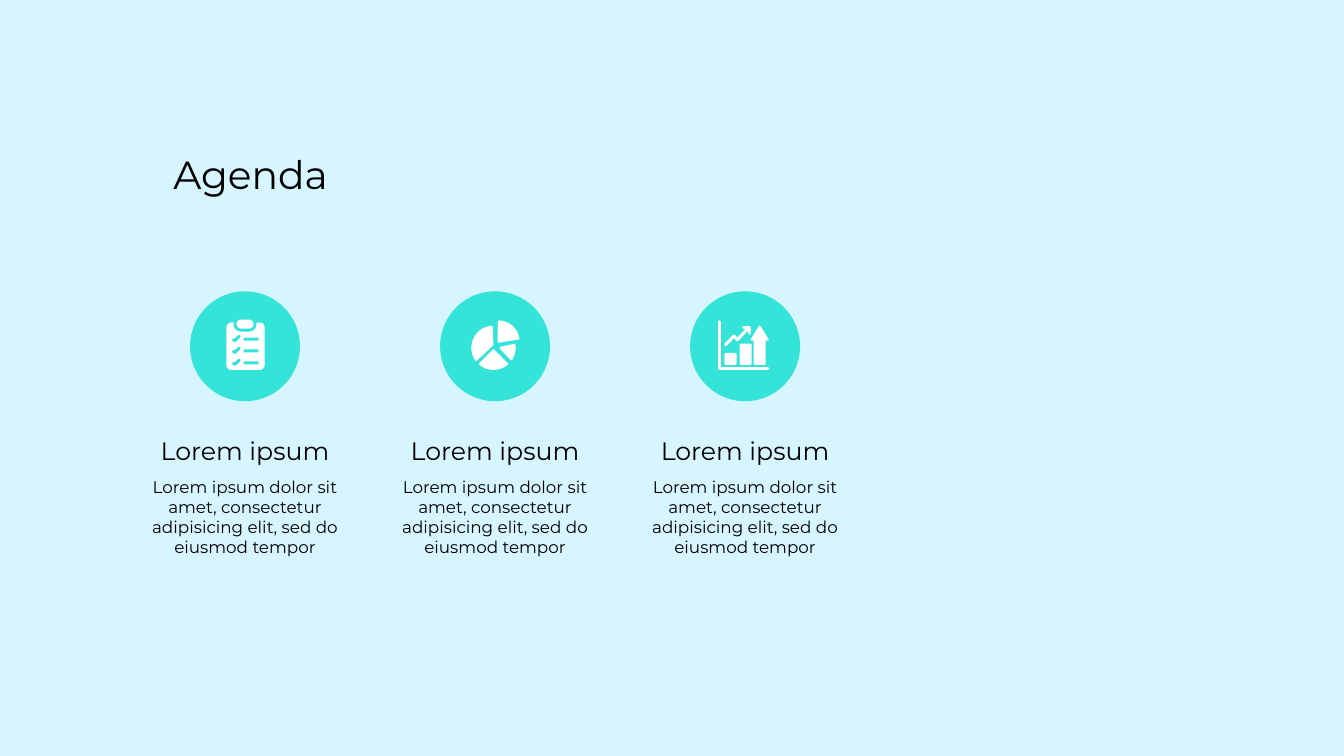
import collections
import math

import pptx
import pptx.dml.color
import pptx.enum.shapes
import pptx.enum.text
import pptx.oxml.ns
import pptx.util
import lxml.etree

Box = collections.namedtuple("Box", "left top width height")
Theme = collections.namedtuple(
    "Theme", "font background accent icon ink title heading body outline stroke"
)
THEME = Theme("Montserrat", "D6F5FF", "34E4D9", "FFFFFF", "000000", 28, 18, 12, 1.44, 2.16)
SHAPES = pptx.enum.shapes.MSO_SHAPE
ALIGN = pptx.enum.text.PP_ALIGN

SLIDE_WIDTH, SLIDE_HEIGHT = 13.33, 7.5
TITLE_BOX = Box(1.62, 1.44, 2.81, 0.57)
FIRST_ITEM = Box(1.34, 2.89, 2.18, 2.7)
ITEM_PITCH = 2.48
CIRCLE_SIZE = 1.09
ICON_CELLS = 109
HEADING_OFFSET, HEADING_HEIGHT = 1.38, 0.4
BODY_OFFSET, BODY_HEIGHT = 1.79, 0.91


def colour(value):
    return pptx.dml.color.RGBColor.from_string(value)


def emu(box):
    return [pptx.util.Inches(length) for length in box]


def cells(box, left, top, width, height):
    unit = box.width / ICON_CELLS
    return Box(box.left + left * unit, box.top + top * unit, width * unit, height * unit)


def add_text(slide, box, text, size, align=ALIGN.LEFT):
    frame = slide.shapes.add_textbox(*emu(box)).text_frame
    frame.word_wrap = True
    frame.auto_size = pptx.enum.text.MSO_AUTO_SIZE.SHAPE_TO_FIT_TEXT
    paragraph = frame.paragraphs[0]
    paragraph.alignment = align
    run = paragraph.add_run()
    run.text = text
    run.font.name = THEME.font
    run.font.size = pptx.util.Pt(size)
    run.font.color.rgb = colour(THEME.ink)


def add_filled(shapes, kind, box, fill, rounding=None):
    shape = shapes.add_shape(kind, *emu(box))
    shape.shadow.inherit = False
    shape.fill.solid()
    shape.fill.fore_color.rgb = colour(fill)
    shape.line.fill.background()
    if rounding is not None:
        shape.adjustments[0] = rounding


def add_outline(shapes, box, points, ink, width, closed=False):
    corners = [emu(cells(box, x, y, 0, 0)[:2]) for x, y in points]
    builder = shapes.build_freeform(*corners[0])
    builder.add_line_segments(corners[1:], close=closed)
    shape = builder.convert_to_shape()
    shape.shadow.inherit = False
    if closed:
        shape.fill.solid()
        shape.fill.fore_color.rgb = colour(ink)
    else:
        shape.fill.background()
    shape.line.color.rgb = colour(ink)
    shape.line.width = pptx.util.Pt(width)
    line = shape.element.spPr.find(pptx.oxml.ns.qn("a:ln"))
    line.set("cap", "rnd")
    lxml.etree.SubElement(line, pptx.oxml.ns.qn("a:round"))


def add_bar(shapes, box, place, fill, rounding):
    add_filled(shapes, SHAPES.ROUNDED_RECTANGLE, cells(box, *place), fill, rounding)


def draw_checklist(shapes, box):
    add_bar(shapes, box, (36, 31, 38, 47), THEME.icon, 0.12)
    add_bar(shapes, box, (43, 25, 23, 15), THEME.accent, 0.5)
    add_bar(shapes, box, (46, 28, 17, 9), THEME.icon, 0.5)
    for row in range(3):
        top = 46 + 11.75 * row
        add_bar(shapes, box, (53, top, 15, 3), THEME.accent, 0.5)
        tick = [(43, top + 2), (44.5, top + 3), (49, top - 1.5)]
        add_outline(shapes, box, tick, THEME.accent, THEME.stroke)


def draw_pie(shapes, box):
    slices = [
        ((58, 50), (58, 50), 20, -89, -9),
        ((52, 53), (53, 56), 21, 145, 265),
        ((53, 58.5), (53, 56), 21, 50, 130),
        ((60, 56), (53, 56), 21, -8, 33),
    ]
    steps = 16
    for apex, (x, y), radius, start, end in slices:
        angles = [math.radians(start + (end - start) * i / steps) for i in range(steps + 1)]
        arc = [(x + radius * math.cos(a), y + radius * math.sin(a)) for a in angles]
        add_outline(shapes, box, [apex] + arc, THEME.icon, THEME.outline, closed=True)


def draw_growth(shapes, box):
    add_bar(shapes, box, (34, 61, 12, 12), THEME.icon, 0.12)
    add_bar(shapes, box, (49, 52, 12, 21), THEME.icon, 0.12)
    arrow = [(64, 72), (64, 48), (61, 48), (69, 35), (77, 48), (74, 48), (74, 72)]
    add_outline(shapes, box, arrow, THEME.icon, THEME.outline, closed=True)
    axes = [(29.5, 30), (29.5, 76.5), (77, 76.5)]
    trend = [(35, 53), (43.5, 44.5), (47, 48), (58.5, 35.5)]
    trend_head = [(53, 35.5), (58.5, 35.5), (58.5, 41.5)]
    for points in (axes, trend, trend_head):
        add_outline(shapes, box, points, THEME.icon, THEME.stroke)


def add_item(slide, box, heading, body, draw_icon):
    circle = Box(box.left + (box.width - CIRCLE_SIZE) / 2, box.top, CIRCLE_SIZE, CIRCLE_SIZE)
    add_filled(slide.shapes, SHAPES.OVAL, circle, THEME.accent)
    body_box = Box(box.left, box.top + BODY_OFFSET, box.width, BODY_HEIGHT)
    heading_box = Box(box.left, box.top + HEADING_OFFSET, box.width, HEADING_HEIGHT)
    add_text(slide, body_box, body, THEME.body, ALIGN.CENTER)
    add_text(slide, heading_box, heading, THEME.heading, ALIGN.CENTER)
    draw_icon(slide.shapes.add_group_shape().shapes, circle)


def add_agenda(slide):
    slide.background.fill.solid()
    slide.background.fill.fore_color.rgb = colour(THEME.background)
    body = "Lorem ipsum dolor sit amet, consectetur adipisicing elit, sed do eiusmod tempor"
    for column, draw_icon in enumerate((draw_checklist, draw_pie, draw_growth)):
        box = FIRST_ITEM._replace(left=FIRST_ITEM.left + column * ITEM_PITCH)
        add_item(slide, box, "Lorem ipsum", body, draw_icon)
    add_text(slide, TITLE_BOX, "Agenda", THEME.title)


def main():
    presentation = pptx.Presentation()
    presentation.slide_width = pptx.util.Inches(SLIDE_WIDTH)
    presentation.slide_height = pptx.util.Inches(SLIDE_HEIGHT)
    add_agenda(presentation.slides.add_slide(presentation.slide_layouts[6]))
    presentation.save("out.pptx")


if __name__ == "__main__":
    main()
